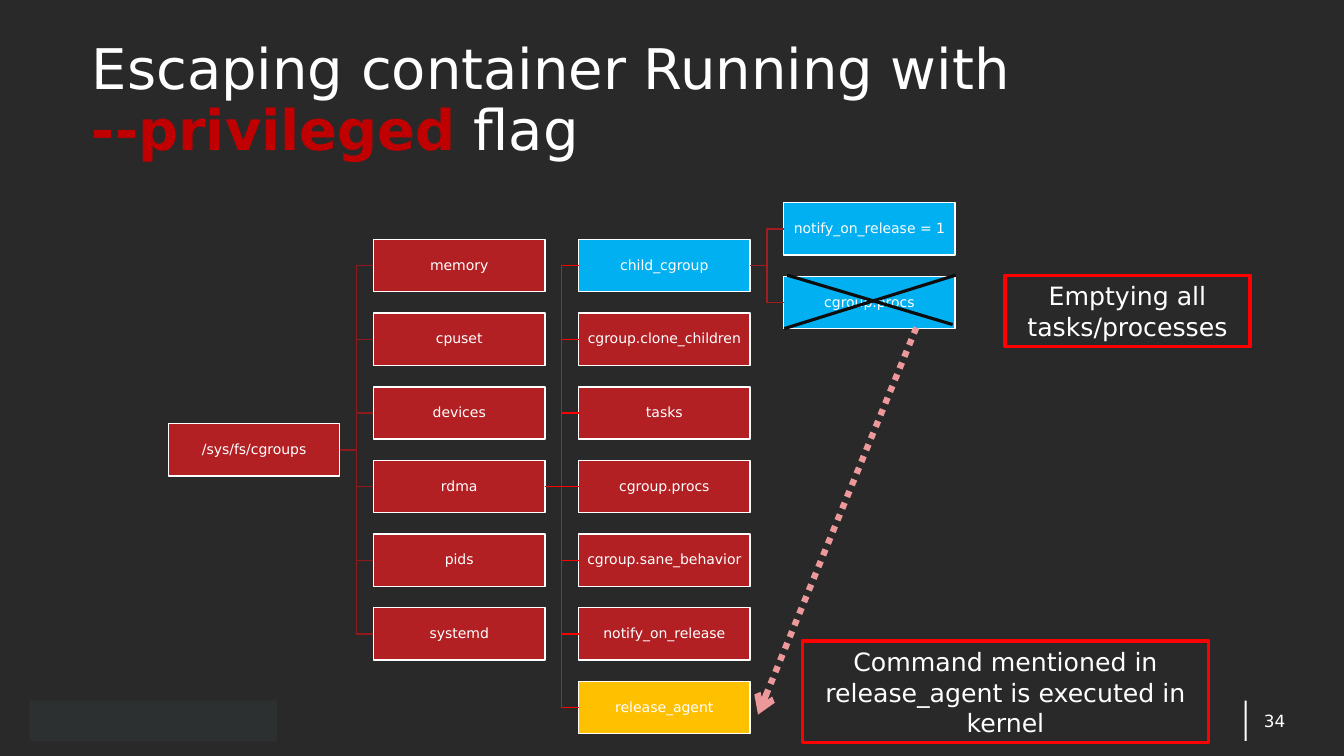
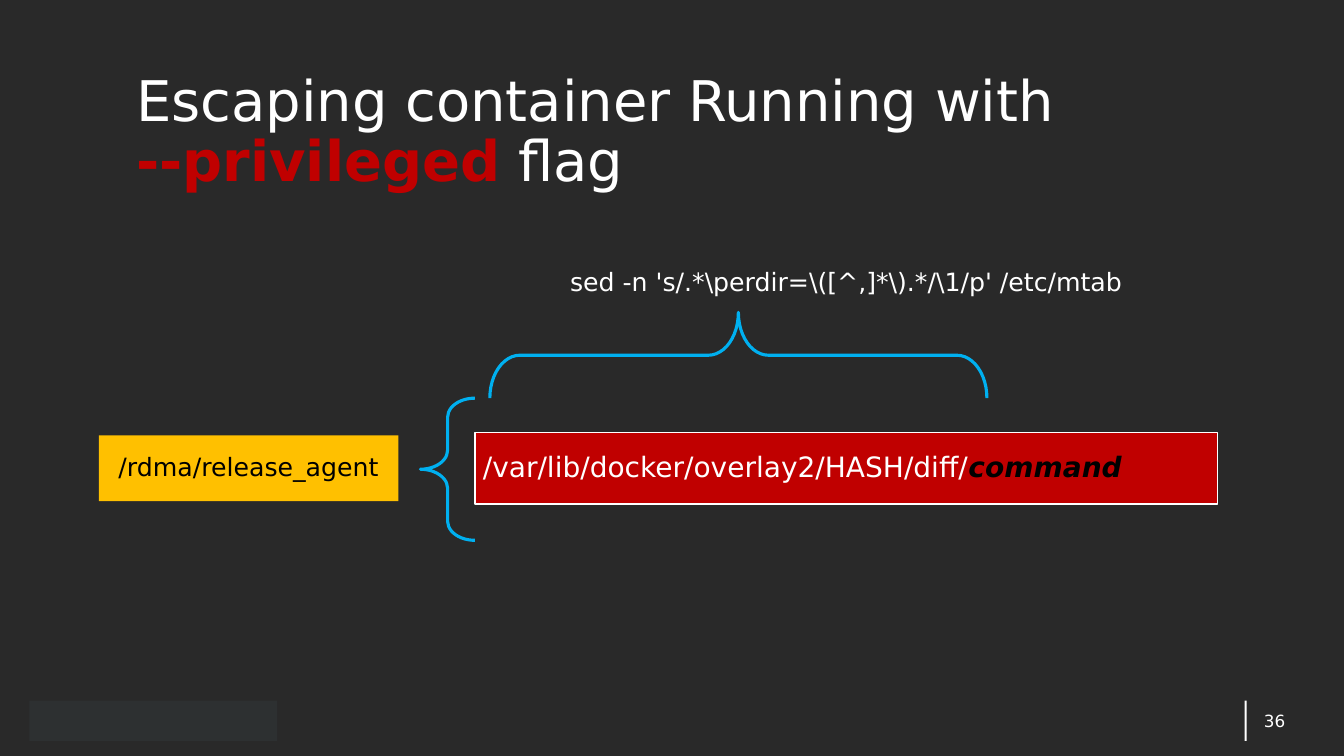
from pptx import Presentation
from pptx.dml.color import RGBColor
from pptx.enum.dml import MSO_LINE
from pptx.enum.shapes import MSO_CONNECTOR, MSO_SHAPE
from pptx.enum.text import MSO_ANCHOR, MSO_AUTO_SIZE, PP_ALIGN
from pptx.oxml.ns import qn
from pptx.util import Inches, Pt
from lxml import etree

RECT, BRACE = MSO_SHAPE.RECTANGLE, MSO_SHAPE.LEFT_BRACE
STRAIGHT, ELBOW = MSO_CONNECTOR.STRAIGHT, MSO_CONNECTOR.ELBOW
LEFT, CENTER, RIGHT = PP_ALIGN.LEFT, PP_ALIGN.CENTER, PP_ALIGN.RIGHT
MIDDLE, NO_FIT = MSO_ANCHOR.MIDDLE, MSO_AUTO_SIZE.NONE
DOTTED = MSO_LINE.ROUND_DOT
LEFT_SITE, RIGHT_SITE = 1, 3

FONT = "DejaVu Sans"
COLORS = {
    "ground": "292929", "band": "2D3031", "white": "FFFFFF", "black": "000000",
    "flag": "C00000", "node": "B22024", "attack": "00B0F0", "agent": "FFC000",
    "root_link": "8F1A1D", "rdma_link": "FF0000", "child_link": "A21D21",
    "callout": "FF0000", "cross": "0D0D0D", "trigger": "ED999C",
}
TREE_LEFT, TREE_TOP = 12.53, 35.15
COLUMN_STEP, ROW_STEP = 15.26, 9.74
NODE_WIDTH, NODE_HEIGHT = 12.76, 6.92
FOOTER_TOP, FOOTER_HEIGHT = 92.67, 5.33


def color(name):
    return RGBColor.from_string(COLORS[name])


class Deck:
    def __init__(self):
        self.prs = Presentation()
        self.prs.slide_width, self.prs.slide_height = Inches(13.33), Inches(7.5)
        ground = self.prs.slide_master.background.fill
        ground.solid()
        ground.fore_color.rgb = color("ground")
        self.slide = None

    def place(self, left, top, width, height):
        across, down = self.prs.slide_width / 100, self.prs.slide_height / 100
        return (int(left * across), int(top * down),
                int(width * across), int(height * down))

    def new_slide(self, number, title_left, title_top):
        self.slide = self.prs.slides.add_slide(self.prs.slide_layouts[5])
        self.title(title_left, title_top)
        self.box(92.6, FOOTER_TOP, 0.15, FOOTER_HEIGHT, fill="white")
        self.box(2.18, FOOTER_TOP, 18.45, FOOTER_HEIGHT, fill="band")
        self.label(91.88, FOOTER_TOP, 3.75, FOOTER_HEIGHT, number, 12, RIGHT)

    def add_run(self, paragraph, text, size, ink, bold=False, italic=False):
        run = paragraph.add_run()
        run.text = text
        font = run.font
        font.name, font.size = FONT, Pt(size)
        font.bold, font.italic = bold, italic
        font.color.rgb = color(ink)

    def set_frame(self, frame, align, inset, wrap=True):
        frame.word_wrap = wrap
        frame.auto_size = NO_FIT
        frame.vertical_anchor = MIDDLE
        frame.margin_left = frame.margin_right = Inches(inset)
        frame.margin_top = frame.margin_bottom = Inches(min(inset, 0.05))
        paragraph = frame.paragraphs[0]
        paragraph.alignment = align
        return paragraph

    def title(self, left, top):
        holder = self.slide.shapes.title
        holder.left, holder.top, holder.width, holder.height = self.place(
            left, top, 94.3 - left, 16.5)
        paragraph = self.set_frame(holder.text_frame, LEFT, 0)
        paragraph.line_spacing = 0.9
        self.add_run(paragraph, "Escaping container Running with", 40, "white")
        paragraph.add_line_break()
        self.add_run(paragraph, "--privileged", 40, "flag", bold=True)
        self.add_run(paragraph, " flag", 40, "white")

    def label(self, left, top, width, height, text, size, align, wrap=True):
        area = self.slide.shapes.add_textbox(*self.place(left, top, width, height))
        paragraph = self.set_frame(area.text_frame, align, 0, wrap)
        self.add_run(paragraph, text, size, "white")

    def outline(self, shape, fill, line, weight):
        shape.shadow.inherit = False
        if fill:
            shape.fill.solid()
            shape.fill.fore_color.rgb = color(fill)
        else:
            shape.fill.background()
        if line:
            shape.line.color.rgb = color(line)
            shape.line.width = Pt(weight)
        else:
            shape.line.fill.background()

    def box(self, left, top, width, height, fill=None, line=None, weight=1,
            runs=(), size=18, align=CENTER, inset=0.1, spacing=1.0):
        shape = self.slide.shapes.add_shape(RECT, *self.place(left, top, width, height))
        self.outline(shape, fill, line, weight)
        if runs:
            paragraph = self.set_frame(shape.text_frame, align, inset)
            paragraph.line_spacing = spacing
            for text, *style in runs:
                self.add_run(paragraph, text, size, *style)
        return shape

    def node(self, column, row, text, fill="node"):
        return self.box(TREE_LEFT + column * COLUMN_STEP,
                        TREE_TOP + row * ROW_STEP - NODE_HEIGHT / 2,
                        NODE_WIDTH, NODE_HEIGHT, fill, "white",
                        runs=[(text, "white")], size=10, inset=0.01, spacing=0.9)

    def callout(self, left, top, width, height, text):
        self.box(left, top, width, height, line="callout", weight=2.25,
                 runs=[(text, "white")])

    def brace(self, left, top, width, height, rotation=0):
        shape = self.slide.shapes.add_shape(BRACE, *self.place(left, top, width, height))
        shape.adjustments[0] = 0.35
        shape.rotation = rotation
        self.outline(shape, None, "attack", 2.25)

    def style_connector(self, connector, ink, weight):
        connector.line.color.rgb = color(ink)
        connector.line.width = Pt(weight)
        etree.SubElement(connector._element.spPr, qn("a:effectLst"))

    def link(self, parent, child, ink):
        kind = STRAIGHT if parent.top == child.top else ELBOW
        connector = self.slide.shapes.add_connector(kind, 0, 0, 0, 0)
        connector.begin_connect(parent, RIGHT_SITE)
        connector.end_connect(child, LEFT_SITE)
        self.style_connector(connector, ink, 1)

    def stroke(self, x1, y1, x2, y2, ink, weight, arrow=False):
        connector = self.slide.shapes.add_connector(STRAIGHT, *self.place(x1, y1, x2, y2))
        self.style_connector(connector, ink, weight)
        if arrow:
            connector.line.dash_style = DOTTED
            etree.SubElement(connector.line._get_or_add_ln(), qn("a:tailEnd"), type="arrow")

    def branch(self, parent, column, first_row, children, ink):
        nodes = {}
        for step, (text, fill) in enumerate(children):
            child = self.node(column, first_row + step, text, fill)
            self.link(parent, child, ink)
            nodes[text] = child
        return nodes


def cgroup_tree(deck):
    deck.new_slide("34", 6.83, 5.2)
    root = deck.node(0, 2.5, "/sys/fs/cgroups")
    controllers = deck.branch(root, 1, 0, [
        (name, "node") for name in
        ("memory", "cpuset", "devices", "rdma", "pids", "systemd")], "root_link")
    rdma_files = deck.branch(controllers["rdma"], 2, 0, [
        ("child_cgroup", "attack"),
        ("cgroup.clone_children", "node"),
        ("tasks", "node"),
        ("cgroup.procs", "node"),
        ("cgroup.sane_behavior", "node"),
        ("notify_on_release", "node"),
        ("release_agent", "agent")], "rdma_link")
    deck.branch(rdma_files["child_cgroup"], 3, -0.5, [
        ("notify_on_release = 1", "attack"),
        ("cgroup.procs", "attack")], "child_link")
    deck.callout(74.78, 36.4, 18.23, 9.47, "Emptying all tasks/processes")
    deck.stroke(58.58, 36.4, 70.88, 42.93, "cross", 2.25)
    deck.stroke(58.35, 43.47, 71.1, 36.4, "cross", 2.25)
    deck.callout(59.7, 84.8, 30.23, 13.47,
                 "Command mentioned in release_agent is executed in kernel")
    deck.stroke(68.18, 43.33, 56.4, 94.53, "trigger", 4.5, arrow=True)


def release_agent_path(deck):
    deck.new_slide("36", 10.13, 9.4)
    deck.box(7.35, 57.6, 22.3, 8.7, "agent",
             runs=[("/rdma/release_agent", "black")], spacing=0.9)
    deck.brace(31.28, 52.67, 4.05, 18.8)
    deck.box(35.33, 57.2, 55.28, 9.47, "flag", "white",
             runs=[("/var/lib/docker/overlay2/HASH/diff/", "white"),
                   ("command", "black", True, True)],
             size=20, align=LEFT, inset=0.08, spacing=0.9)
    deck.label(39.68, 34.53, 46.58, 5.33,
               r"sed -n 's/.*\perdir=\([^,]*\).*/\1/p' /etc/mtab", 18, CENTER, wrap=False)
    deck.brace(51.75, 14.13, 6.38, 65.73, rotation=90)


def main():
    deck = Deck()
    cgroup_tree(deck)
    release_agent_path(deck)
    deck.prs.save("out.pptx")


if __name__ == "__main__":
    main()
